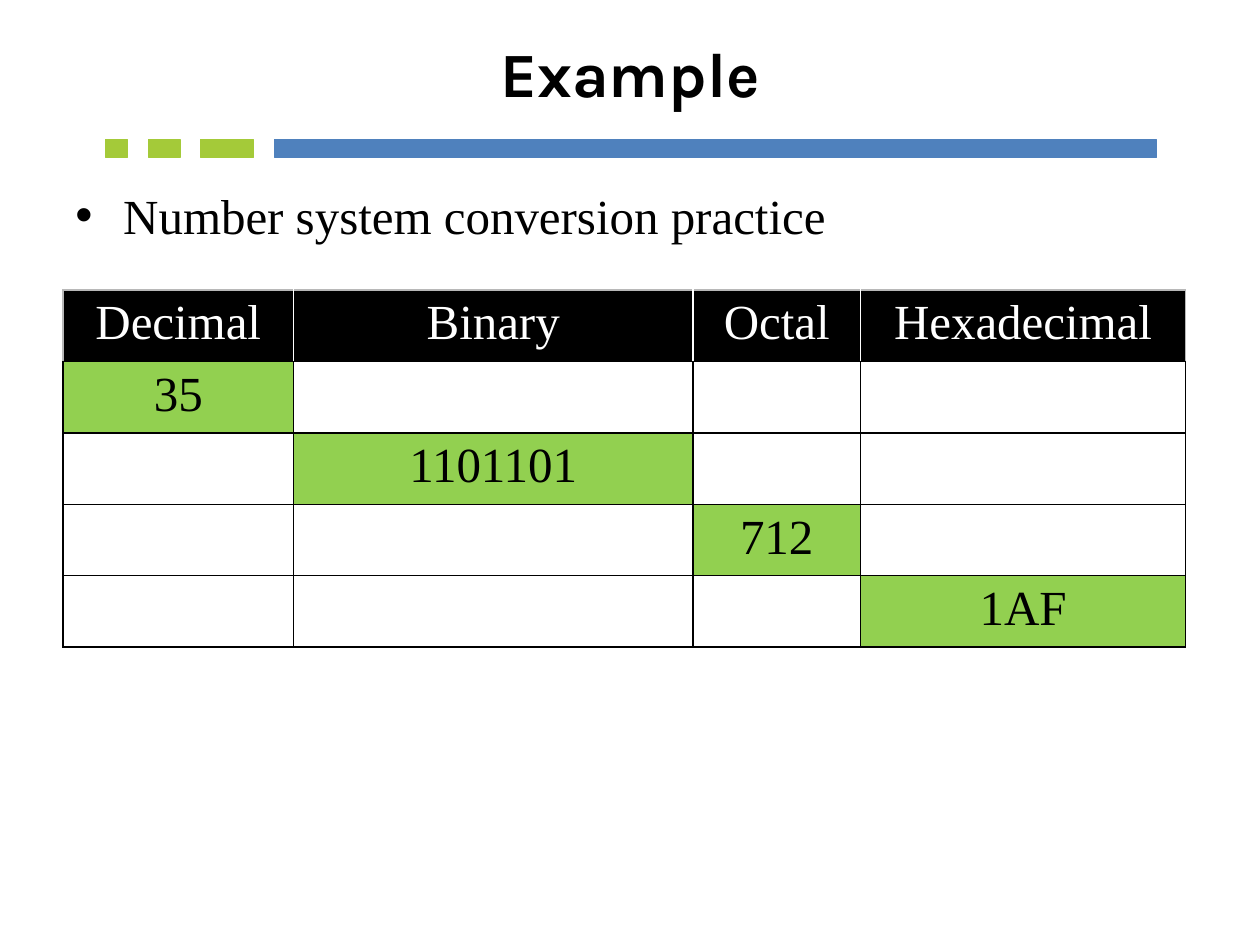
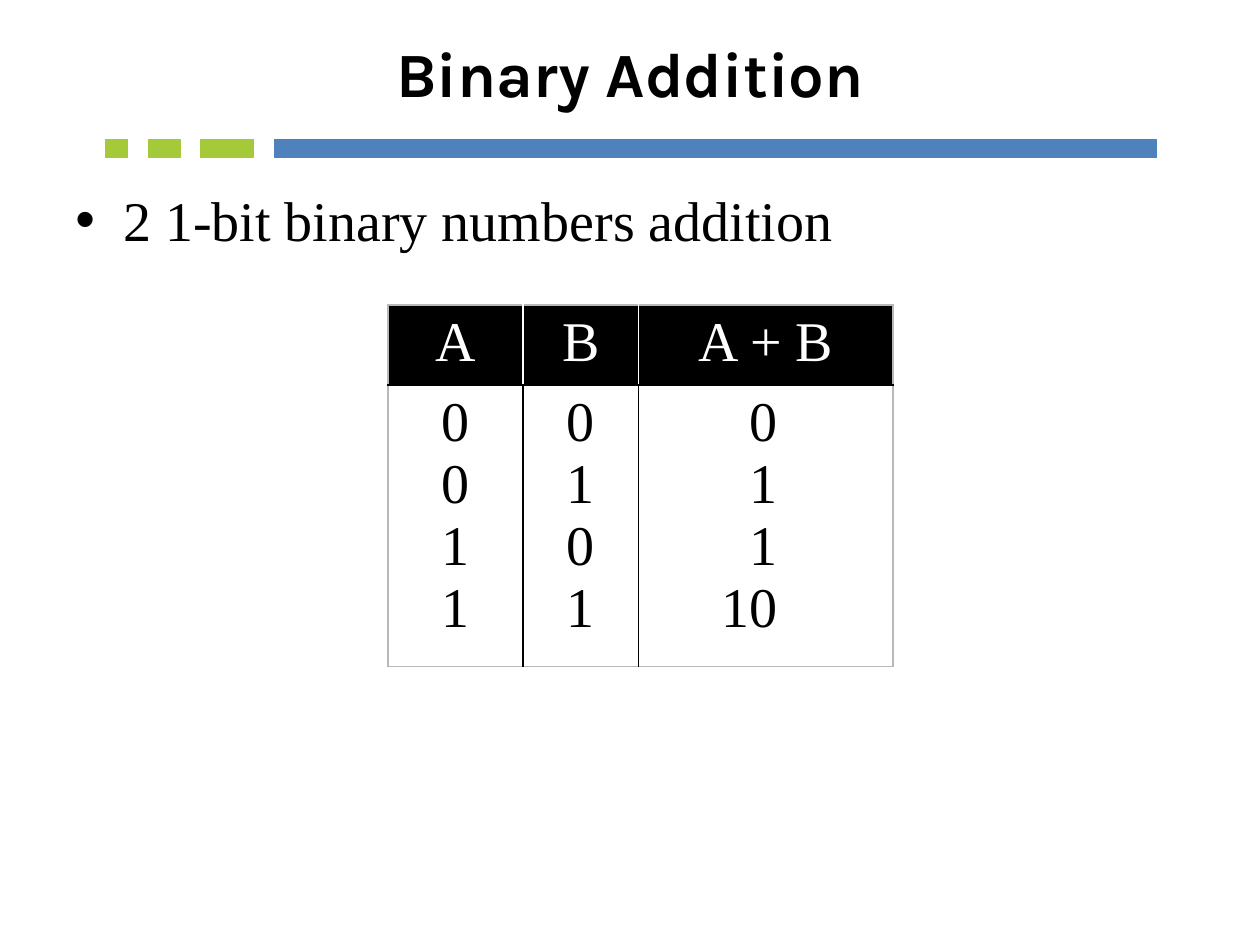
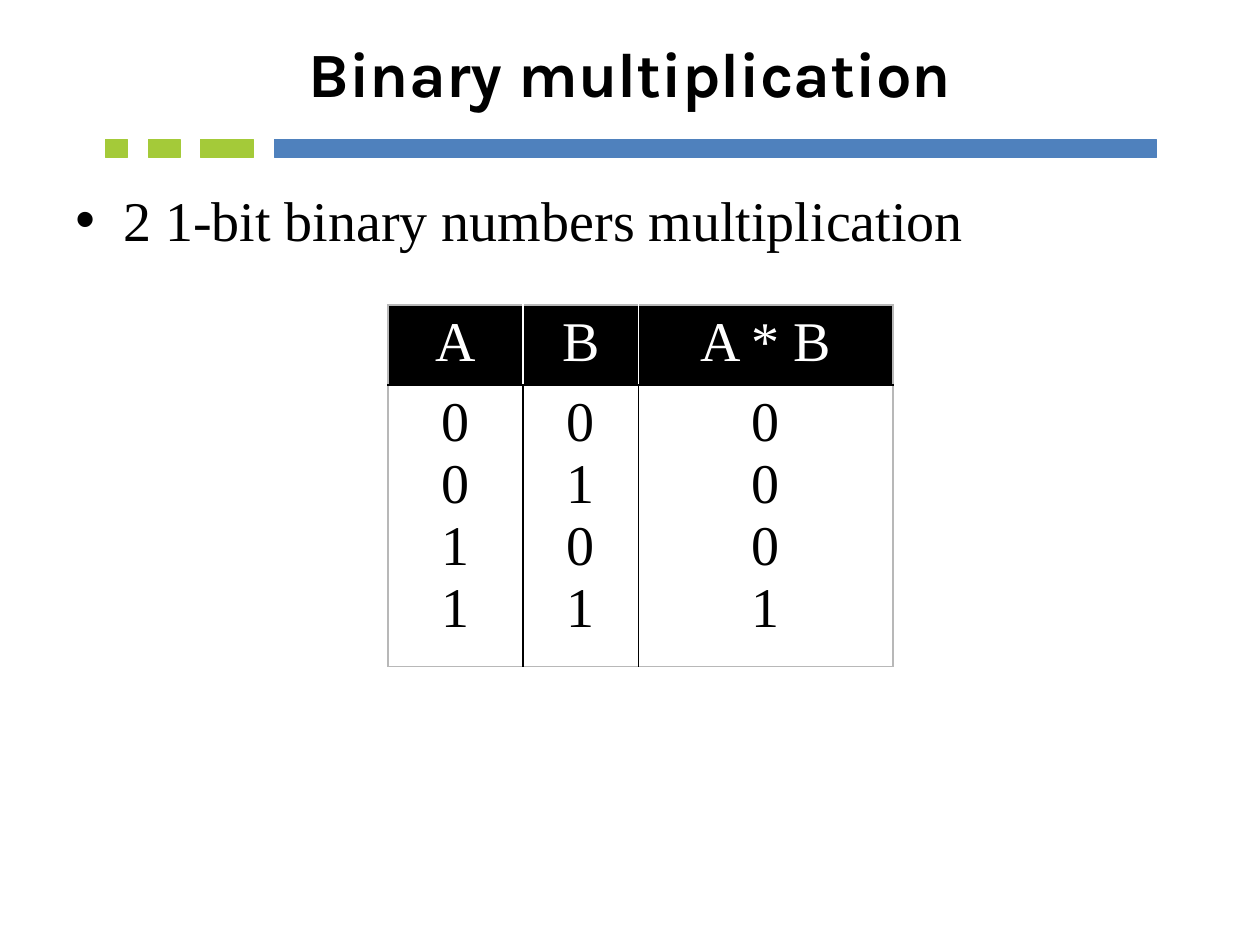
"""Build three slides on number systems and binary arithmetic."""
from lxml import etree
from pptx import Presentation
from pptx import util as u
from pptx.dml.color import RGBColor
from pptx.enum import shapes, text
from pptx.oxml.ns import qn

COLORS = {
    "black": "000000",
    "white": "FFFFFF",
    "blue": "4F81BD",
    "lime": "A4CA39",
    "green": "92D050",
    "gray": "B8B8B8",
}
BODY_FONT = "Times New Roman"
BAND_BLOCKS = [(0.84, 0.17, "lime"), (1.18, 0.25, "lime"), (1.59, 0.42, "lime"), (2.18, 7, "blue")]

ARITHMETIC = {
    "left": 3.08,
    "top": 2.42,
    "size": 32,
    "columns": [1.07, 0.92, 2.02],
    "heights": [0.6, 2.08],
    "edge": "gray",
}
SLIDES = [
    {
        "title": "Example",
        "bullet": "Number system conversion practice",
        "left": 0.5,
        "top": 2.3,
        "size": 28,
        "columns": [1.83, 3.17, 1.33, 2.58],
        "heights": [0.53] * 5,
        "edge": "black",
        "rows": [
            ["Decimal", "Binary", "Octal", "Hexadecimal"],
            ["35", "", "", ""],
            ["", "1101101", "", ""],
            ["", "", "712", ""],
            ["", "", "", "1AF"],
        ],
        "highlight": "green",
    },
    {
        **ARITHMETIC,
        "title": "Binary Addition",
        "bullet": "2 1-bit binary numbers addition",
        "rows": [["A", "B", "A + B"], ["0\n0\n1\n1", "0\n1\n0\n1", "\t0\n\t1\n\t1\n\t10"]],
        "highlight": "white",
    },
    {
        **ARITHMETIC,
        "title": "Binary multiplication",
        "bullet": "2 1-bit binary numbers multiplication",
        "rows": [["A", "B", "A * B"], ["0\n0\n1\n1", "0\n1\n0\n1", "0\n0\n0\n1"]],
        "highlight": "white",
    },
]


def write(frame, content, size, color="black", font=BODY_FONT, bold=False, align="CENTER", bullet=False):
    for index, line in enumerate(content.split("\n")):
        paragraph = frame.paragraphs[0] if index == 0 else frame.add_paragraph()
        properties = paragraph._p.get_or_add_pPr()
        if bullet:
            properties.set("marL", str(u.Inches(0.38)))
            properties.set("indent", str(u.Inches(-0.38)))
            etree.SubElement(properties, qn("a:buFont"), typeface="Arial")
            etree.SubElement(properties, qn("a:buChar"), char="•")
        if line.startswith("\t"):
            tabs = etree.SubElement(properties, qn("a:tabLst"))
            etree.SubElement(tabs, qn("a:tab"), pos=str(u.Inches(1)), algn="r")
        paragraph.alignment = text.PP_ALIGN["LEFT" if line.startswith("\t") else align]
        paragraph.space_before = u.Pt(0)
        run = paragraph.add_run()
        run.text = line
        run.font.size = u.Pt(size)
        run.font.name = font
        run.font.bold = bold
        run.font.color.rgb = RGBColor.from_string(COLORS[color])


def set_borders(cell, borders):
    properties = cell._tc.get_or_add_tcPr()
    for position, (side, color) in enumerate(borders.items()):
        line = etree.Element(qn(f"a:ln{side}"), w=str(u.Pt(1)))
        fill = etree.SubElement(line, qn("a:solidFill"))
        etree.SubElement(fill, qn("a:srgbClr"), val=COLORS[color])
        properties.insert(position, line)


presentation = Presentation()
presentation.slide_width = u.Inches(10)
presentation.slide_height = u.Inches(7.5)

for content in SLIDES:
    slide = presentation.slides.add_slide(presentation.slide_layouts[5])

    for left, width, color in BAND_BLOCKS:
        block = slide.shapes.add_shape(
            shapes.MSO_SHAPE.RECTANGLE, u.Inches(left), u.Inches(1.11), u.Inches(width), u.Inches(0.14)
        )
        block.shadow.inherit = False
        block.fill.solid()
        block.fill.fore_color.rgb = RGBColor.from_string(COLORS[color])
        block.line.color.rgb = RGBColor.from_string(COLORS[color])
        block.line.width = u.Pt(0.75)

    title = slide.shapes.title
    title.left, title.top = u.Inches(0.5), u.Inches(0.05)
    title.width, title.height = u.Inches(9), u.Inches(1.04)
    title.text_frame.auto_size = text.MSO_AUTO_SIZE.NONE
    title.text_frame.vertical_anchor = text.MSO_ANCHOR.MIDDLE
    write(title.text_frame, content["title"], size=36, font="Karla", bold=True)

    body = slide.shapes.add_textbox(u.Inches(0.5), u.Inches(1.42), u.Inches(9), u.Inches(0.7))
    body.text_frame.word_wrap = True
    write(body.text_frame, content["bullet"], size=content["size"], align="LEFT", bullet=True)

    rows, columns, heights = content["rows"], content["columns"], content["heights"]
    table = slide.shapes.add_table(
        len(rows), len(columns), u.Inches(content["left"]), u.Inches(content["top"]),
        u.Inches(sum(columns)), u.Inches(sum(heights)),
    ).table
    table.horz_banding = False
    for column, width in zip(table.columns, columns):
        column.width = u.Inches(width)
    for row, height in zip(table.rows, heights):
        row.height = u.Inches(height)

    for row_index, row in enumerate(rows):
        header = row_index == 0
        edge = "gray" if header else content["edge"]
        inner = "white" if header else "black"
        for column_index, value in enumerate(row):
            cell = table.cell(row_index, column_index)
            fill = "black" if header else content["highlight"] if value else "white"
            cell.fill.solid()
            cell.fill.fore_color.rgb = RGBColor.from_string(COLORS[fill])
            set_borders(cell, {
                "L": edge if column_index == 0 else inner,
                "R": edge if column_index == len(columns) - 1 else inner,
                "T": edge if header else "black",
                "B": edge if row_index == len(rows) - 1 else "black",
            })
            if value:
                write(cell.text_frame, value, size=content["size"], color="white" if header else "black")

presentation.save("out.pptx")
